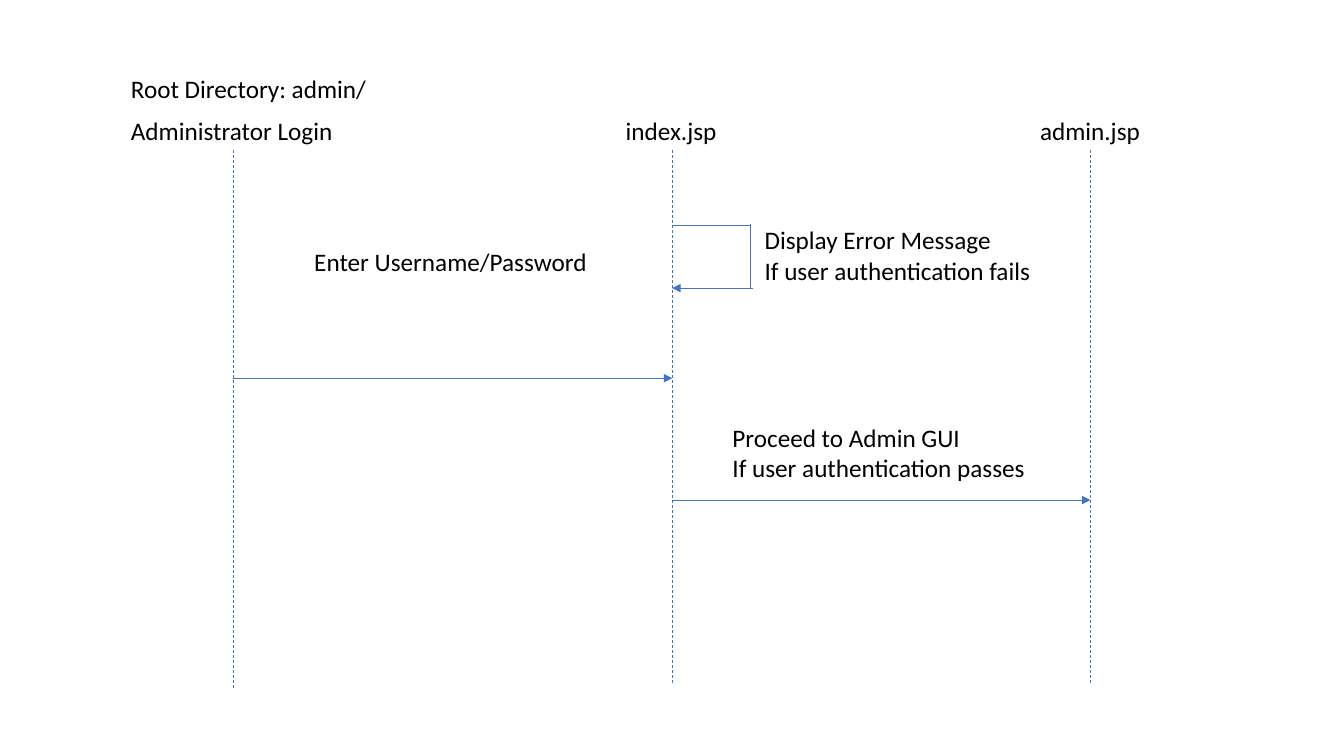
from dataclasses import dataclass

from pptx import Presentation
from pptx import util as u
from pptx.dml.color import RGBColor
from pptx.enum import dml, shapes, text
from pptx.oxml.ns import qn
from lxml import etree


@dataclass(frozen=True)
class Theme:
    font: str = "Calibri"
    text_size: float = 18
    text_color: str = "000000"
    line_color: str = "4472C4"
    line_width: float = 0.5


THEME = Theme()
BLANK_LAYOUT = 6

# Horizontal positions of the three lifelines, in cm
LOGIN_X, INDEX_X, ADMIN_X = 5.87, 16.94, 27.48
LIFELINE_TOP = 3.78


def add_label(slide, content, left, top, width, height=1.02):
    """Unwrapped text; a vertical tab in the content is a line break."""
    box = slide.shapes.add_textbox(u.Cm(left), u.Cm(top), u.Cm(width), u.Cm(height))
    frame = box.text_frame
    frame.word_wrap = False
    frame.auto_size = text.MSO_AUTO_SIZE.SHAPE_TO_FIT_TEXT
    frame.text = content
    for paragraph in frame.paragraphs:
        paragraph.font.name = THEME.font
        paragraph.font.size = u.Pt(THEME.text_size)
        paragraph.font.color.rgb = RGBColor.from_string(THEME.text_color)


def add_line(slide, start, end, dashed=False, arrow=False):
    points = [u.Cm(value) for value in (*start, *end)]
    connector = slide.shapes.add_connector(shapes.MSO_CONNECTOR.STRAIGHT, *points)
    line = connector.line
    line.color.rgb = RGBColor.from_string(THEME.line_color)
    line.width = u.Pt(THEME.line_width)
    if dashed:
        line.dash_style = dml.MSO_LINE.DASH
    properties = connector._element.spPr
    if arrow:
        outline = properties.find(qn("a:ln"))
        etree.SubElement(outline, qn("a:tailEnd"), type="triangle")
    etree.SubElement(properties, qn("a:effectLst"))


def add_lifeline(slide, x, bottom):
    add_line(slide, (x, LIFELINE_TOP), (x, bottom), dashed=True)


def add_message(slide, from_x, to_x, y):
    add_line(slide, (from_x, y), (to_x, y), arrow=True)


def add_self_message(slide, x, top, bottom, right):
    add_line(slide, (x, top), (right, top))
    add_line(slide, (right, top - 0.05), (right, bottom))
    add_message(slide, right + 0.07, x, bottom)


def main():
    presentation = Presentation()
    presentation.slide_width = u.Cm(33.87)
    presentation.slide_height = u.Cm(19.05)
    slide = presentation.slides.add_slide(presentation.slide_layouts[BLANK_LAYOUT])

    # Participants and their lifelines
    participants = [
        ("Administrator Login", 3.05, 5.64, LOGIN_X, 17.37),
        ("index.jsp", 15.52, 2.82, INDEX_X, 17.25),
        ("admin.jsp", 25.96, 3.05, ADMIN_X, 17.25),
    ]
    for name, left, width, x, bottom in participants:
        add_label(slide, name, left, 2.77, width)
        add_lifeline(slide, x, bottom)
    add_label(slide, "Root Directory: admin/", 3.05, 1.73, 6.5)

    # Login message
    add_message(slide, LOGIN_X, INDEX_X, 9.53)
    add_label(slide, "Enter Username/Password", 7.67, 6.07, 7.44)

    # Successful authentication
    add_message(slide, INDEX_X, ADMIN_X, 12.6)
    add_label(slide, "Proceed to Admin GUI\vIf user authentication passes",
              18.21, 10.52, 7.98, 1.8)

    # Failed authentication
    add_self_message(slide, INDEX_X, top=5.69, bottom=7.26, right=18.9)
    add_label(slide, "Display Error Message\nIf user authentication fails",
              19.02, 5.54, 7.29, 1.8)

    presentation.save("out.pptx")


if __name__ == "__main__":
    main()
